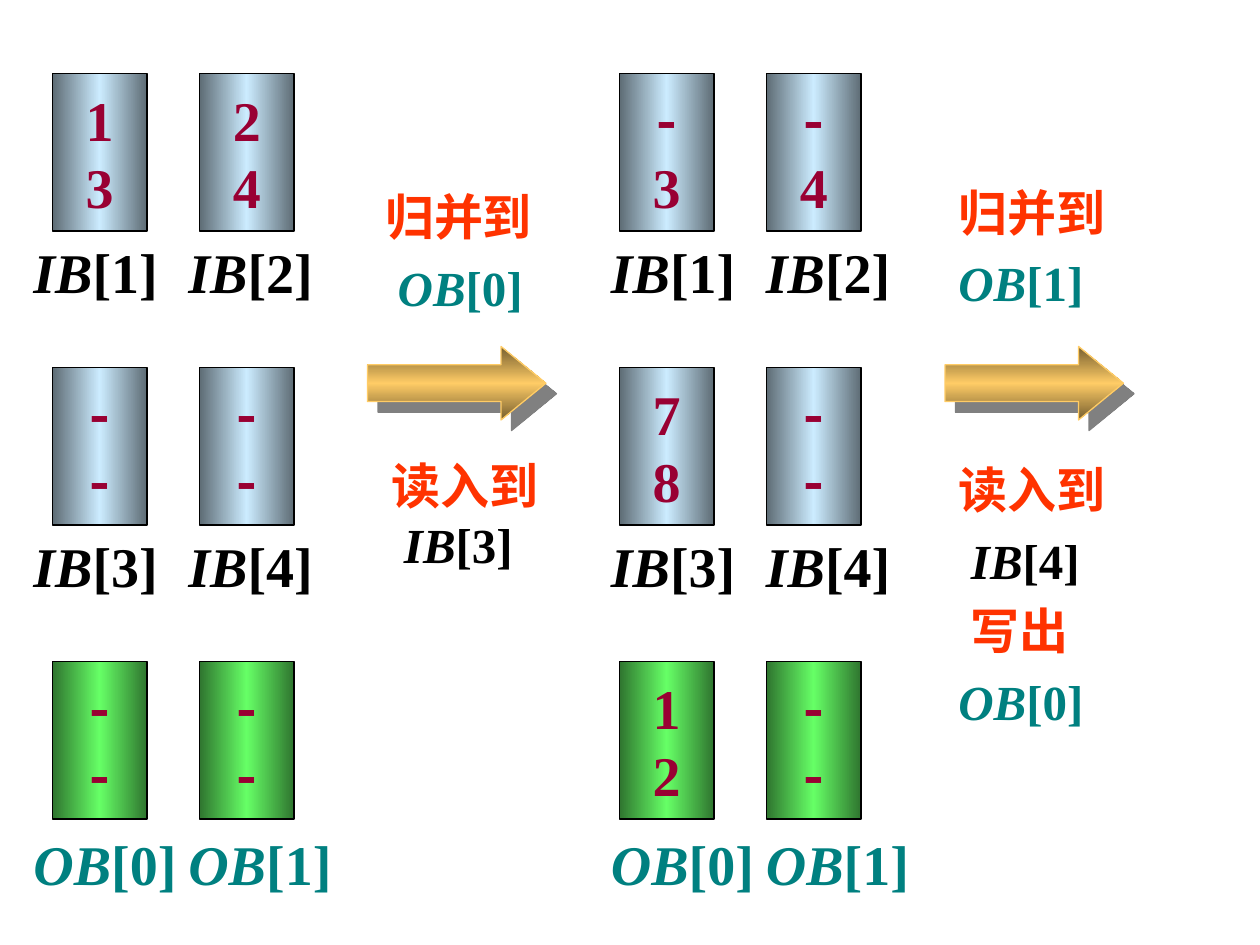
from lxml.etree import SubElement
from pptx import Presentation
from pptx.dml.color import RGBColor
from pptx.enum.shapes import MSO_SHAPE as Shape
from pptx.enum.text import MSO_ANCHOR as Anchor, PP_ALIGN as Align
from pptx.oxml.ns import qn
from pptx.util import Inches, Pt

COLUMNS, ROWS = 120, 90
UNIT = Inches(10) / COLUMNS
SERIF, SANS = "Times New Roman", "Noto Sans CJK SC"
BLACK = RGBColor(0x00, 0x00, 0x00)
TEAL = RGBColor(0x00, 0x80, 0x80)
RED = RGBColor(0xFF, 0x33, 0x00)
CRIMSON = RGBColor(0x99, 0x00, 0x33)
GRAY = RGBColor(0x80, 0x80, 0x80)
STEEL, SKY = RGBColor(0x5E, 0x6C, 0x75), RGBColor(0xCC, 0xEC, 0xFF)
FOREST, LIME = RGBColor(0x2F, 0x75, 0x2F), RGBColor(0x66, 0xFF, 0x66)
BRONZE, GOLD = RGBColor(0x75, 0x5E, 0x2F), RGBColor(0xFF, 0xCC, 0x66)

BUFFER_COLORS = {"IB": BLACK, "OB": TEAL}
BUFFER_ROWS = [
    (7, 22, "IB", (1, 2), (STEEL, SKY)),
    (35, 50, "IB", (3, 4), (STEEL, SKY)),
    (63, 78.4, "OB", (0, 1), (FOREST, LIME)),
]
STATES = [
    (5, 2, [("13", "24"), ("--", "--"), ("--", "--")]),
    (59, 57, [("-3", "-4"), ("78", "--"), ("12", "--")]),
]
ACTIONS = [
    (35.5, 16, 14.6, 40.5, [("归并到", 0), ("OB[0]", 0.1)]),
    (36.1, 42.7, 12.5, 34, [("读入到", 0), ("IB[3]", 0.1)]),
    (90.1, 15.6, 14.6, 40.5, [("归并到", 0), ("OB[1]", 0)]),
    (90.1, 42, 28.1, 40.5, [("读入到", 0), ("IB[4]", 0.1), ("写出", 0.1), ("OB[0]", 0)]),
]


def assign(target, **values):
    """Set each named attribute on the target."""
    for name, value in values.items():
        setattr(target, name, value)


def place(left, top, width, height):
    """Turn grid columns and rows into slide lengths."""
    return [round(share * UNIT) for share in (left, top, width, height)]


def add_span(para, text, size, color, face=SERIF, italic=False):
    """Add one bold run to a paragraph."""
    span = para.add_run()
    span.text = text
    assign(span.font, name=face, size=Pt(size), bold=True, italic=italic)
    span.font.color.rgb = color
    SubElement(span.font._element, qn("a:ea"), typeface=SANS)


def add_buffer_name(para, text, size):
    """Write a buffer name with its letters in italics."""
    color = BUFFER_COLORS[text[:2]]
    add_span(para, text[:2], size, color, italic=True)
    add_span(para, text[2:], size, color)


def add_text_box(page, *cell):
    """Add a text box with room for its longest line."""
    frame = page.shapes.add_textbox(*place(*cell)).text_frame
    frame.word_wrap = True
    return frame


def add_gradient_shape(page, kind, cell, colors, line_color, angle):
    """Add a shape with a dark, light, dark gradient."""
    shape = page.shapes.add_shape(kind, *place(*cell))
    shape.shadow.inherit = False
    shape.line.color.rgb = line_color
    shape.line.width = Pt(0.75)
    edge, middle = colors
    shape.fill.gradient()
    gradient = shape._element.spPr.find(qn("a:gradFill"))
    for child in list(gradient):
        gradient.remove(child)
    stops = SubElement(gradient, qn("a:gsLst"))
    for percent, color in ((0, edge), (50, middle), (100, edge)):
        stop = SubElement(stops, qn("a:gs"), pos=str(percent * 1000))
        SubElement(stop, qn("a:srgbClr"), val=str(color))
    SubElement(gradient, qn("a:lin"), ang=str(angle * 60000), scaled="0")
    return shape


def add_buffer(page, left, top, values, colors):
    """Add a buffer box that holds two stacked values."""
    box = add_gradient_shape(page, Shape.RECTANGLE, (left, top, 9, 15), colors, BLACK, 180)
    frame = box.text_frame
    assign(frame, word_wrap=False, vertical_anchor=Anchor.MIDDLE)
    for index, value in enumerate(values):
        para = frame.add_paragraph() if index else frame.paragraphs[0]
        assign(para, alignment=Align.CENTER, line_spacing=Pt(38.4))
        add_span(para, value, 32, CRIMSON, SANS if value == "-" else SERIF)


def add_label_pair(page, cell, prefix, numbers):
    """Name two neighbouring buffers, the second at a tab stop."""
    para = add_text_box(page, *cell).paragraphs[0]
    tabs = SubElement(para._p.get_or_add_pPr(), qn("a:tabLst"))
    SubElement(tabs, qn("a:tab"), pos=str(Inches(1.23)), algn="l")
    first, second = (f"{prefix}[{number}]" for number in numbers)
    add_buffer_name(para, first, 32)
    add_span(para, "\t", 32, BUFFER_COLORS[prefix])
    add_buffer_name(para, second, 32)


def add_state(page, left, label_left, contents):
    """Add the three buffer rows of one merge state."""
    for row, pair in zip(BUFFER_ROWS, contents):
        top, label_top, prefix, numbers, colors = row
        for index, values in enumerate(pair):
            add_buffer(page, left + 14 * index, top, values, colors)
        add_label_pair(page, (label_left, label_top, 31, 7.7), prefix, numbers)


def add_action(page, left, top, height, spacing, lines):
    """Describe one step beside an arrow."""
    frame = add_text_box(page, left, top, 17.5, height)
    for index, (text, indent) in enumerate(lines):
        para = frame.add_paragraph() if index else frame.paragraphs[0]
        para.line_spacing = Pt(spacing)
        para._p.get_or_add_pPr().set("marL", str(Inches(indent)))
        if text[:2] in BUFFER_COLORS:
            add_buffer_name(para, text, 28)
        else:
            add_span(para, text, 28, RED)


def add_arrow(page, left):
    """Add a golden arrow with a hard gray shadow."""
    arrow = add_gradient_shape(
        page, Shape.RIGHT_ARROW, (left, 33, 17, 7), (BRONZE, GOLD), GOLD, 90)
    arrow.adjustments[1] = 0.61
    effects = arrow._element.spPr.find(qn("a:effectLst"))
    shadow = SubElement(effects, qn("a:outerShdw"), dist=str(Pt(8.5)),
                        dir=str(45 * 60000), algn="ctr", rotWithShape="0")
    SubElement(shadow, qn("a:srgbClr"), val=str(GRAY))


def main():
    """Build the slide of two merge states and save it."""
    deck = Presentation()
    assign(deck, slide_width=round(COLUMNS * UNIT), slide_height=round(ROWS * UNIT))
    page = deck.slides.add_slide(deck.slide_layouts[6])
    for state in STATES:
        add_state(page, *state)
    for left in (35, 90):
        add_arrow(page, left)
    for action in ACTIONS:
        add_action(page, *action)
    deck.save("out.pptx")


main()
